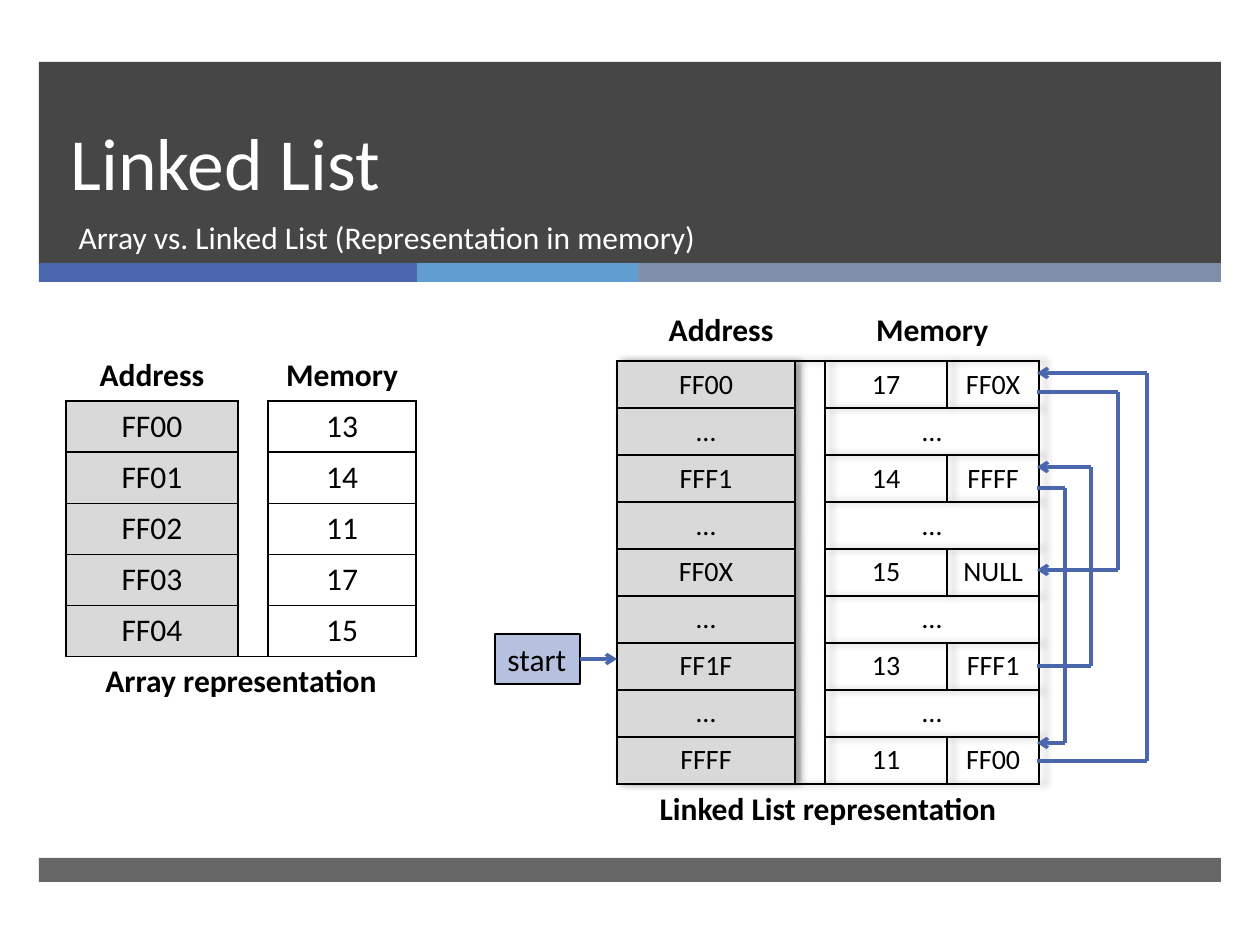
from typing import NamedTuple, Optional

import pptx
import pptx.dml.color
import pptx.enum.shapes
import pptx.enum.text
import pptx.oxml
import pptx.oxml.ns
import pptx.util
from lxml import etree

RGBColor = pptx.dml.color.RGBColor
Align = pptx.enum.text.PP_ALIGN
Anchor = pptx.enum.text.MSO_ANCHOR
qn = pptx.oxml.ns.qn

EMU_PER_PX = 914400 / 126
FONT = "Calibri"
BLACK = RGBColor(0x00, 0x00, 0x00)
WHITE = RGBColor(0xFF, 0xFF, 0xFF)
DARK = RGBColor(0x26, 0x26, 0x26)
BLUE = RGBColor(0x4A, 0x66, 0xAC)
SKY = RGBColor(0x62, 0x9D, 0xD1)
SLATE = RGBColor(0x7F, 0x8F, 0xA9)
PALE_BLUE = RGBColor(0xB5, 0xC1, 0xDF)
GREY = RGBColor(0xD9, 0xD9, 0xD9)
PLAIN_TABLE_STYLE = "{2D5ABB26-0587-4C30-8999-92F81FD0307C}"


class Band(NamedTuple):
    left: int
    top: int
    width: int
    height: int
    color: RGBColor
    opacity: int = 100


class MemoryTable(NamedTuple):
    left: int
    top: int
    columns: list[int]
    heights: list[int]
    rows: list[list[Optional[str]]]  # None continues the cell on its left
    size: int
    fill: Optional[RGBColor]


class Link(NamedTuple):
    """A path that leaves the list at from_y, follows a lane and returns at to_y."""
    from_y: int
    lane: int
    to_y: int


BANDS = [
    Band(39, 62, 1182, 202, DARK, 85),
    Band(39, 263, 378, 19, BLUE),
    Band(417, 263, 221, 19, SKY),
    Band(638, 263, 583, 19, SLATE),
    Band(39, 858, 1182, 24, DARK, 70),
]
ARRAY = MemoryTable(
    66, 350, [172, 29, 148], [51] * 7,
    [["Address", "", "Memory"],
     ["FF00", "", "13"],
     ["FF01", "", "14"],
     ["FF02", "", "11"],
     ["FF03", "", "17"],
     ["FF04", "", "15"],
     ["Array representation", None, None]],
    18, WHITE)
GAP_ROW = ["…", "", "…", None]
LINKED_LIST = MemoryTable(
    617, 300, [178, 30, 122, 92], [61] + [47] * 9 + [48],
    [["Address", None, "Memory", None],
     ["FF00", "", "17", "FF0X"],
     GAP_ROW,
     ["FFF1", "", "14", "FFFF"],
     GAP_ROW,
     ["FF0X", "", "15", "NULL"],
     GAP_ROW,
     ["FF1F", "", "13", "FFF1"],
     GAP_ROW,
     ["FFFF", "", "11", "FF00"],
     ["Linked List representation", None, None, None]],
    16, None)
LIST_EDGE = 1037
LINKS = [Link(666, 1091, 467), Link(488, 1065, 743),
         Link(761, 1147, 373), Link(392, 1118, 570)]


def px(length: int) -> int:
    return round(length * EMU_PER_PX)


def write_text(frame, text: str, *, size: int, color=BLACK, bold=False,
               align=Align.LEFT, line_height: Optional[int] = None) -> None:
    para = frame.paragraphs[0]
    para.alignment = align
    para.space_before = pptx.util.Pt(0)
    if line_height:
        para.line_spacing = pptx.util.Pt(line_height)
    if not text:  # keeps an empty cell from stretching its row
        etree.SubElement(para._p, qn("a:endParaRPr"), sz=str(size * 100))
        return
    span = para.add_run()
    span.text = text
    span.font.name = FONT
    span.font.size = pptx.util.Pt(size)
    span.font.bold = bold
    span.font.color.rgb = color


def add_box(slide, left: int, top: int, width: int, height: int, color: RGBColor):
    box = slide.shapes.add_shape(pptx.enum.shapes.MSO_SHAPE.RECTANGLE,
                                 px(left), px(top), px(width), px(height))
    box.shadow.inherit = False
    box.fill.solid()
    box.fill.fore_color.rgb = color
    box.line.fill.background()
    return box


def add_band(slide, band: Band) -> None:
    box = add_box(slide, *band[:5])
    if band.opacity < 100:
        color = box.element.spPr.find(".//" + qn("a:srgbClr"))
        etree.SubElement(color, qn("a:alpha"), val=str(band.opacity * 1000))


def place_heading(slide, holder, box: tuple[int, ...], text: str, anchor, **style) -> None:
    """Set a placeholder's box and text, and bring it in front of the bands."""
    holder.left, holder.top, holder.width, holder.height = map(px, box)
    frame = holder.text_frame
    frame.auto_size = pptx.enum.text.MSO_AUTO_SIZE.NONE
    frame.word_wrap = True
    frame.vertical_anchor = anchor
    write_text(frame, text, color=WHITE, **style)
    slide.shapes.element.append(holder.element)


def add_borders(cell, sides: str) -> None:
    for side in sides:
        line = etree.SubElement(cell._tc.get_or_add_tcPr(), qn("a:ln" + side), w="12700")
        fill = etree.SubElement(line, qn("a:solidFill"))
        etree.SubElement(fill, qn("a:srgbClr"), val=str(BLACK))


def add_memory_table(slide, spec_table: MemoryTable):
    rows, columns = spec_table.rows, spec_table.columns
    frame = slide.shapes.add_table(len(rows), len(columns), px(spec_table.left),
                                   px(spec_table.top), px(sum(columns)),
                                   px(sum(spec_table.heights)))
    table = frame.table
    table.first_row = table.horz_banding = False
    table._tbl.tblPr.find(qn("a:tableStyleId")).text = PLAIN_TABLE_STYLE
    for column, width in zip(table.columns, columns):
        column.width = px(width)
    for row, height in zip(table.rows, spec_table.heights):
        row.height = px(height)

    last = len(rows) - 1
    for r, texts in enumerate(rows):
        is_body = 0 < r < last
        for c, text in enumerate(texts):
            cell = table.cell(r, c)
            if is_body:
                add_borders(cell, "LR" if c == 1 else "LRTB")
            elif r == last:
                add_borders(cell, "T")
            fill = GREY if is_body and c == 0 else spec_table.fill
            if fill is None:
                cell.fill.background()
            else:
                cell.fill.solid()
                cell.fill.fore_color.rgb = fill
            cell.vertical_anchor = Anchor.MIDDLE
            write_text(cell.text_frame, text or "", align=Align.CENTER,
                       size=spec_table.size if is_body or not text else 18,
                       bold=not is_body)
            if text is not None:
                end = c
                while end + 1 < len(texts) and texts[end + 1] is None:
                    end += 1
                if end > c:
                    cell.merge(table.cell(r, end))
    return table


def add_table_shadow(table) -> None:
    effects = etree.Element(qn("a:effectLst"))
    shadow = etree.SubElement(effects, qn("a:outerShdw"), blurRad="50800",
                              dist="38100", dir="0", algn="l", rotWithShape="0")
    color = etree.SubElement(shadow, qn("a:prstClr"), val="black")
    etree.SubElement(color, qn("a:alpha"), val="40000")
    table._tbl.tblPr.insert(0, effects)


def add_line(slide, start: tuple[int, int], end: tuple[int, int], arrow: bool = False):
    line = slide.shapes.add_connector(pptx.enum.shapes.MSO_CONNECTOR.STRAIGHT,
                                      *map(px, start + end))
    line.line.color.rgb = BLUE
    line.line.width = pptx.util.Pt(2)
    properties = line.element.spPr
    if arrow:
        etree.SubElement(properties.find(qn("a:ln")), qn("a:tailEnd"), type="arrow")
    etree.SubElement(properties, qn("a:effectLst"))
    return line


def add_link(slide, link: Link) -> None:
    points = [(LIST_EDGE, link.from_y), (link.lane, link.from_y),
              (link.lane, link.to_y), (LIST_EDGE, link.to_y)]
    for index, (start, end) in enumerate(zip(points, points[1:])):
        add_line(slide, start, end, arrow=index == 2)


def main() -> None:
    deck = pptx.Presentation()
    deck.slide_width, deck.slide_height = px(1260), px(945)
    slide = deck.slides.add_slide(deck.slide_layouts[0])
    for band in BANDS:
        add_band(slide, band)
    title, subtitle = slide.placeholders
    place_heading(slide, title, (58, 62, 1076, 150), "Linked List",
                  Anchor.BOTTOM, size=42, line_height=46)
    place_heading(slide, subtitle, (66, 212, 1068, 67),
                  "Array vs. Linked List (Representation in memory)", Anchor.TOP, size=18)

    add_memory_table(slide, ARRAY)
    add_table_shadow(add_memory_table(slide, LINKED_LIST))
    for link in LINKS:
        add_link(slide, link)

    start = add_box(slide, 495, 634, 85, 50, PALE_BLUE)
    start.line.color.rgb = BLACK
    start.line.width = pptx.util.Pt(0.75)
    start.text_frame.word_wrap = False
    write_text(start.text_frame, "start", size=18)
    add_line(slide, (580, 659), (617, 659), arrow=True).begin_connect(start, 3)
    deck.save("out.pptx")


if __name__ == "__main__":
    main()
